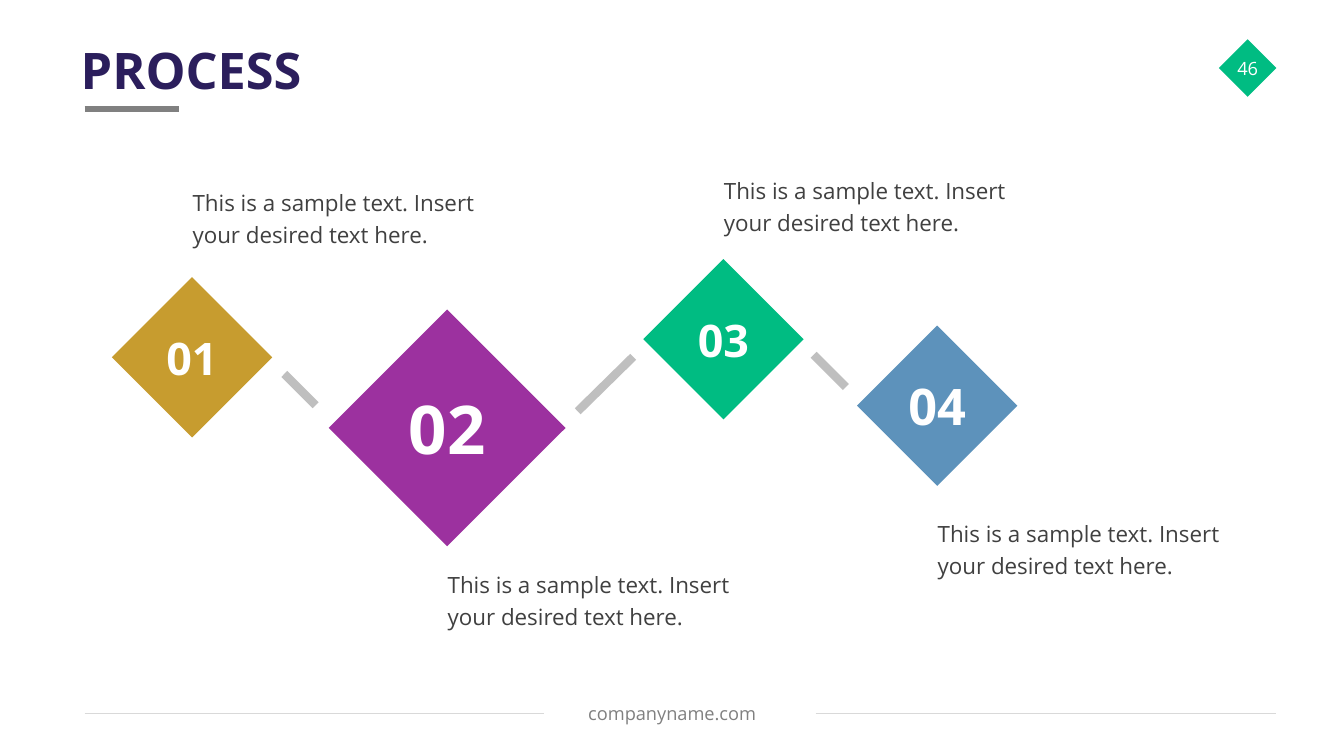
from pptx import Presentation
from pptx.dml.color import RGBColor
from pptx.enum.shapes import MSO_CONNECTOR, MSO_SHAPE
from pptx.enum.text import MSO_ANCHOR, PP_ALIGN
from pptx.oxml.ns import qn
from pptx.util import Pt
from lxml import etree

LINE = MSO_CONNECTOR.STRAIGHT
GEM = MSO_SHAPE.DIAMOND
LEFT, MID = PP_ALIGN.LEFT, PP_ALIGN.CENTER
TOP, HALF = MSO_ANCHOR.TOP, MSO_ANCHOR.MIDDLE
PX = 9144
FONT = "Open Sans"
HUES = {
    "navy": "2B1E5C", "gold": "C79C2F", "plum": "9C319F", "green": "00BC82",
    "blue": "5D92BB", "white": "FFFFFF", "text": "404040", "gray": "808080",
    "link": "BFBFBF", "rule": "D9D9D9",
}
NOTE = "This is a sample text. Insert your desired text here."


def hue(name):
    return RGBColor.from_string(HUES[name])


class Board:
    """Holds the style and the current slide, and draws each kind of element."""

    def __init__(self, deck):
        self.slide = deck.slides.add_slide(deck.slide_layouts[5])
        self.shapes = self.slide.shapes

    def label(self, shape, text, size, color, bold=False, align=LEFT,
              anchor=HALF, pad=(0, 0), wrap=True, space=None):
        frame = shape.text_frame
        frame.text = text
        frame.word_wrap = wrap
        frame.vertical_anchor = anchor
        frame.margin_left = frame.margin_right = pad[0] * PX
        frame.margin_top = frame.margin_bottom = pad[1] * PX
        para = frame.paragraphs[0]
        para.alignment = align
        if space:
            para.line_spacing = space
        font = para.runs[0].font
        font.name, font.size, font.bold = FONT, Pt(size), bold
        font.color.rgb = hue(color)

    def title(self, text, x, y, w, h):
        shape = self.shapes.title
        shape.left, shape.top = x * PX, y * PX
        shape.width, shape.height = w * PX, h * PX
        self.label(shape, text, 36, "navy", bold=True, pad=(13, 7))

    def text(self, text, x, y, w, h, size, color, **style):
        box = self.shapes.add_textbox(x * PX, y * PX, w * PX, h * PX)
        self.label(box, text, size, color, **style)

    def gem(self, text, x, y, side, color, size, bold=True):
        shape = self.shapes.add_shape(GEM, x * PX, y * PX, side * PX, side * PX)
        shape.shadow.inherit = False
        shape.fill.solid()
        shape.fill.fore_color.rgb = hue(color)
        shape.line.fill.background()
        self.label(shape, text, size, "white", bold=bold, align=MID, wrap=False)

    def line(self, x1, y1, x2, y2, color, width):
        line = self.shapes.add_connector(LINE, x1 * PX, y1 * PX, x2 * PX, y2 * PX)
        line.line.color.rgb = hue(color)
        line.line.width = Pt(width)
        etree.SubElement(line._element.spPr, qn("a:effectLst"))


def main():
    deck = Presentation()
    deck.slide_width, deck.slide_height = 1333 * PX, 750 * PX
    board = Board(deck)

    board.title("PROCESS", 67, 30, 1200, 78)
    board.line(84, 108, 178, 108, "gray", 4.5)
    board.gem("46", 1209, 39, 57, "green", 13, bold=False)
    for x1, x2 in ((84, 540), (809, 1266)):
        board.line(x1, 708, x2, 708, "rule", 0.75)
    board.text("companyname.com", 387, 688, 559, 40, 13, "gray",
               align=MID, pad=(13, 7))

    steps = (
        (111, 275, 159, "gold", 32, 177),
        (326, 307, 235, "plum", 48, 556),
        (638, 257, 159, "green", 32, 165),
        (850, 323, 159, "blue", 36, 506),
    )
    for num, (x, y, side, color, size, top) in enumerate(steps, 1):
        board.gem(f"{num:02}", x, y, side, color, size)
        board.text(NOTE, x + (side + 1) // 2, top, 301, 72, 16, "text",
                   anchor=TOP, pad=(0, 5), space=1.2)

    links = ((282, 371, 313, 402), (628, 354, 573, 408), (807, 352, 839, 384))
    for ends in links:
        board.line(*ends, "link", 6)

    deck.save("out.pptx")


if __name__ == "__main__":
    main()
